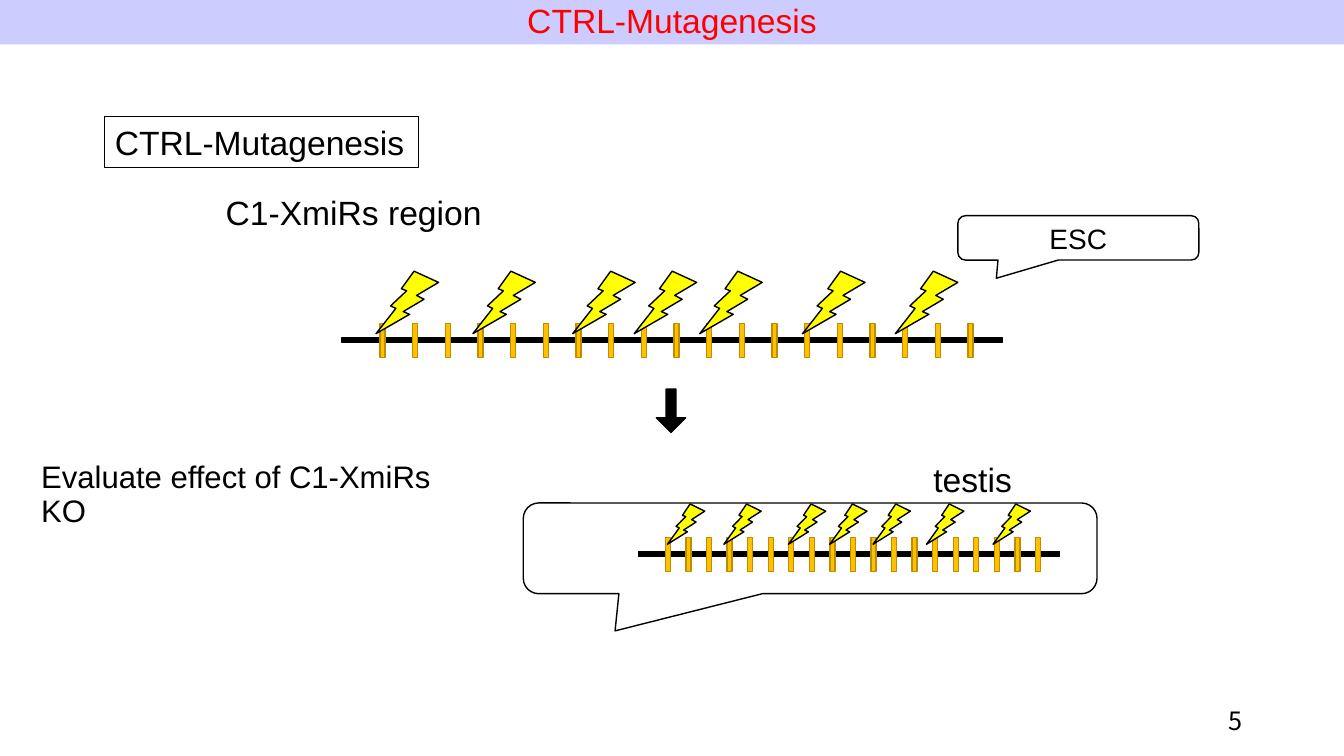
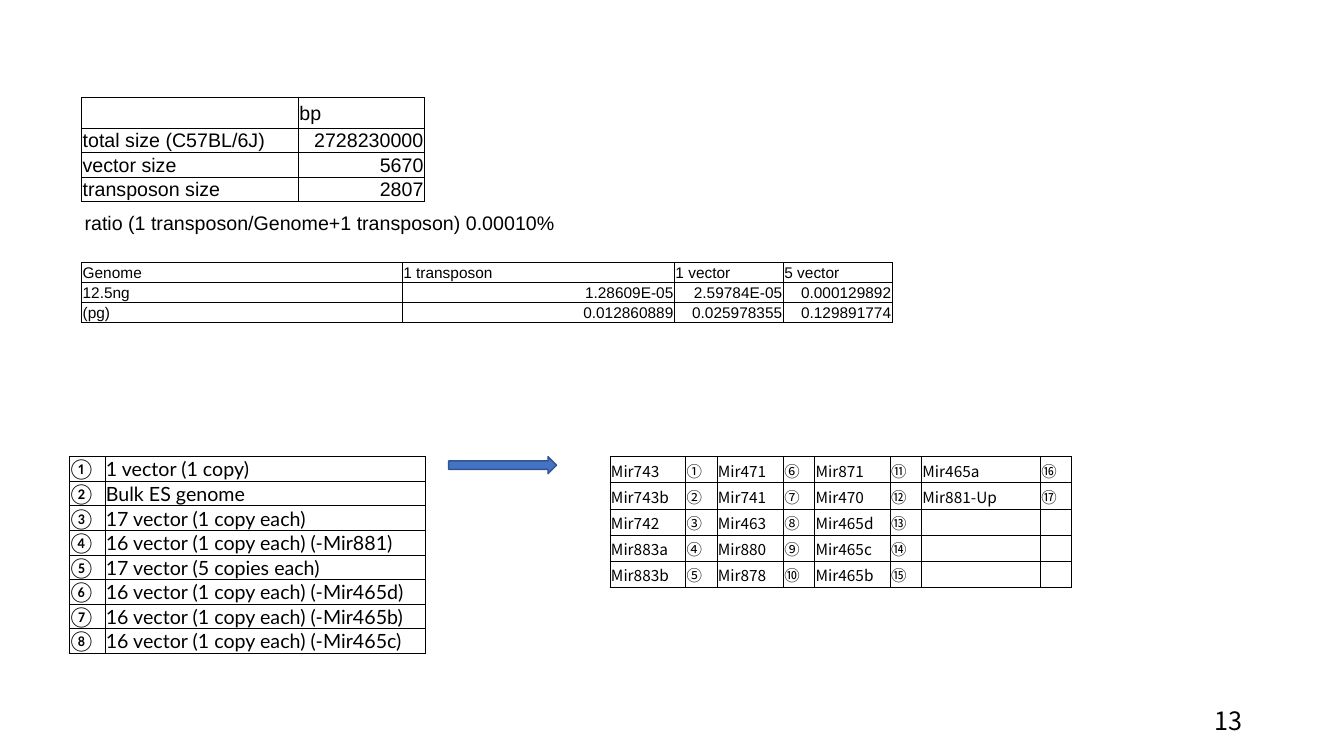
from lxml.etree import SubElement
from pptx import Presentation
from pptx.dml.color import RGBColor
from pptx.enum.shapes import MSO_SHAPE as Shape
from pptx.enum.text import MSO_ANCHOR as Anchor, PP_ALIGN as Align
from pptx.oxml.ns import qn
from pptx.util import Inches, Pt

BLACK, WHITE, RED = "000000", "FFFFFF", "FF0000"
BAND = "CCCCFF"
TICK_FILL, TICK_LINE = "FFC000", "BD8E00"
BOLT_FILL = "FFFF00"
ARROW_FILL, ARROW_LINE = "4472C4", "325491"
SANS, CJK, LATO = "Arial", "Noto Sans CJK JP", "Lato"
TITLE_ONLY, BLANK = 5, 6


def color(value):
    return RGBColor.from_string(value)


def inches(*values):
    return [Inches(value) for value in values]


class SlideBuilder:
    """Holds the deck, its style and the slide being filled."""

    def __init__(self):
        self.deck = Presentation()
        self.deck.slide_width, self.deck.slide_height = inches(13.33, 7.5)
        self.slide = None

    def new_slide(self, number, title=None):
        layout = self.deck.slide_layouts[TITLE_ONLY if title else BLANK]
        self.slide = self.deck.slides.add_slide(layout)
        self.slide.background.fill.solid()
        self.slide.background.fill.fore_color.rgb = color(WHITE)
        if title:
            self.title(title)
        self.text(9.42, 6.95, 3, 0.4, str(number), 18, font=CJK,
                  align=Align.RIGHT, anchor=Anchor.MIDDLE)

    def add_span(self, para, text, size, font=SANS, ink=BLACK,
                 align=Align.LEFT):
        para.alignment = align
        if not text:
            SubElement(para._p, qn("a:endParaRPr"), sz=str(size * 100))
            return
        span = para.add_run()
        span.text = text
        span.font.size = Pt(size)
        span.font.name = font
        span.font.bold = False
        span.font.color.rgb = color(ink)
        SubElement(span.font._element, qn("a:ea"), typeface=font)

    def title(self, text):
        box = self.slide.shapes.title
        box.left, box.top, box.width, box.height = inches(0, 0, 13.33, 0.44)
        box.fill.solid()
        box.fill.fore_color.rgb = color(BAND)
        frame = box.text_frame
        frame.vertical_anchor = Anchor.BOTTOM
        para = frame.paragraphs[0]
        para.line_spacing = 0.7
        self.add_span(para, text, 24, ink=RED, align=Align.CENTER)

    def text(self, left, top, width, height, text, size, font=SANS,
             align=Align.LEFT, anchor=Anchor.TOP, body=False):
        box = self.slide.shapes.add_textbox(*inches(left, top, width, height))
        frame = box.text_frame
        frame.word_wrap = True
        frame.vertical_anchor = anchor
        para = frame.paragraphs[0]
        if body:
            para.line_spacing = 0.9
            para.space_before = Pt(10)
        self.add_span(para, text, size, font, align=align)

    def shape(self, kind, left, top, width, height, fill=None, line=BLACK,
              weight=1, adjust=(), mirrored=False):
        shape = self.slide.shapes.add_shape(
            kind, *inches(left, top, width, height))
        shape.shadow.inherit = False
        for index, value in enumerate(adjust):
            shape.adjustments[index] = value
        if fill:
            shape.fill.solid()
            shape.fill.fore_color.rgb = color(fill)
        else:
            shape.fill.background()
        shape.line.color.rgb = color(line)
        shape.line.width = Pt(weight)
        if mirrored:
            shape.element.spPr.xfrm.set("flipH", "1")
        return shape

    def label(self, shape, text, size, align=Align.LEFT, wrap=True):
        frame = shape.text_frame
        frame.word_wrap = wrap
        frame.vertical_anchor = Anchor.MIDDLE
        self.add_span(frame.paragraphs[0], text, size, align=align)

    def callout(self, left, top, width, height):
        return self.shape(Shape.ROUNDED_RECTANGULAR_CALLOUT, left, top, width,
                          height, adjust=(-0.34, 0.91, 0.17))

    def gene_region(self, axis, ticks, bolts, bolt_size):
        """Axis bar, evenly spaced gene ticks, and bolts at the cut sites."""
        axis_left, axis_top, axis_width = axis
        first, last, count = ticks
        bolt_top, bolt_lefts = bolts
        self.shape(Shape.RECTANGLE, axis_left, axis_top, axis_width, 0.05,
                   BLACK)
        step = (last - first) / (count - 1)
        for index in range(count):
            self.shape(Shape.RECTANGLE, first + index * step, axis_top - 0.14,
                       0.05, 0.34, TICK_FILL, TICK_LINE)
        for left in bolt_lefts:
            self.shape(Shape.LIGHTNING_BOLT, left, bolt_top, *bolt_size,
                       BOLT_FILL, mirrored=True)

    def table(self, left, top, columns, heights, rows, size, font=SANS,
              numeric=False):
        frame = self.slide.shapes.add_table(
            len(rows), len(columns),
            *inches(left, top, sum(columns), sum(heights)))
        table = frame.table
        table.first_row = table.horz_banding = False
        for column, width in zip(table.columns, columns):
            column.width = Inches(width)
        for row, height in zip(table.rows, heights):
            row.height = Inches(height)
        for r, values in enumerate(rows):
            for c, value in enumerate(values):
                cell = table.cell(r, c)
                self.format_cell(cell)
                align = Align.RIGHT if numeric and r and c else Align.LEFT
                self.add_span(cell.text_frame.paragraphs[0], value, size,
                              font, align=align)

    def format_cell(self, cell):
        cell.margin_left = cell.margin_right = cell.margin_top = Inches(0.01)
        cell.margin_bottom = 0
        cell.vertical_anchor = Anchor.MIDDLE
        properties = cell._tc.get_or_add_tcPr()
        for side in ("lnL", "lnR", "lnT", "lnB"):
            border = SubElement(properties, qn("a:" + side), w=str(Pt(0.5)))
            fill = SubElement(border, qn("a:solidFill"))
            SubElement(fill, qn("a:srgbClr"), val=BLACK)
        cell.fill.background()


def mutagenesis_slide(page):
    page.new_slide(5, "CTRL-Mutagenesis")

    # Targeted region in the stem cells
    heading = page.shape(Shape.RECTANGLE, 1.04, 1.16, 3.11, 0.5, weight=0.75)
    page.label(heading, "CTRL-Mutagenesis", 24, wrap=False)
    page.text(2.14, 1.9, 3.27, 0.62, "C1-XmiRs region", 24, body=True)
    page.gene_region((3.39, 3.35, 6.55), (3.77, 9.6, 19),
                     (2.69, (3.73, 4.69, 5.68, 6.29, 6.94, 7.96, 8.88)),
                     (0.62, 0.62))
    page.label(page.callout(9.5, 2.14, 2.39, 0.44), "ESC", 20, Align.CENTER)

    # Step down to the evaluation
    page.shape(Shape.DOWN_ARROW, 6.51, 3.86, 0.29, 0.43, BLACK,
               adjust=(0.34, 0.5))
    page.text(0.31, 4.53, 4.58, 0.62, "Evaluate effect of C1-XmiRs KO", 22.2,
              body=True)

    # Same region in the testis
    page.text(9.16, 4.55, 1, 0.62, "testis", 24, body=True)
    page.callout(5.19, 4.99, 5.69, 0.9)
    page.gene_region((6.33, 5.47, 4.18), (6.6, 10.27, 19),
                     (5, (6.62, 7.18, 7.82, 8.23, 8.66, 9.19, 9.85)),
                     (0.37, 0.4))


def copy_number_slide(page):
    page.new_slide(13)

    # Sizes and ratio
    page.table(0.81, 0.97, (2.15, 1.25), (0.3, 0.23, 0.23, 0.23), (
        ("", "bp"),
        ("total size (C57BL/6J)", "2728230000"),
        ("vector size", "5670"),
        ("transposon size", "2807"),
    ), 14, numeric=True)
    page.text(0.74, 2.04, 6.75, 0.34,
              "ratio (1 transposon/Genome+1 transposon) 0.00010%", 14)

    # Amounts per genome
    page.table(0.81, 2.6, (3.18, 2.7, 1.08, 1.08), (0.2,) * 3, (
        ("Genome", "1 transposon", "1 vector", "5 vector"),
        ("12.5ng", "1.28609E-05", "2.59784E-05", "0.000129892"),
        ("(pg)", "0.012860889", "0.025978355", "0.129891774"),
    ), 11, numeric=True)

    # Numbered samples
    circled = "①②③④⑤⑥⑦⑧⑨⑩⑪⑫⑬⑭⑮⑯⑰"
    samples = (
        "1 vector (1 copy)",
        "Bulk ES genome",
        "17 vector (1 copy each)",
        "16 vector (1 copy each) (-Mir881)",
        "17 vector (5 copies each)",
        "16 vector (1 copy each) (-Mir465d)",
        "16 vector (1 copy each) (-Mir465b)",
        "16 vector (1 copy each) (-Mir465c)",
    )
    page.table(0.69, 4.53, (0.35, 3.18), (0.24,) * len(samples),
               list(zip(circled, samples)), 14, LATO)
    page.shape(Shape.RIGHT_ARROW, 4.45, 4.53, 1.07, 0.17, ARROW_FILL,
               ARROW_LINE)

    # Numbered genes, running down each pair of columns
    genes = ("Mir743 Mir743b Mir742 Mir883a Mir883b "
             "Mir471 Mir741 Mir463 Mir880 Mir878 "
             "Mir871 Mir470 Mir465d Mir465c Mir465b "
             "Mir465a Mir881-Up").split()
    depth = 5
    pairs = list(zip(genes, circled)) + [("", "")] * 3
    rows = [[text for pair in pairs[start::depth] for text in pair]
            for start in range(depth)]
    page.table(6.05, 4.53, (0.75, 0.31, 0.66, 0.31, 0.75, 0.31, 1.18, 0.31),
               (0.26,) * depth, rows, 11, CJK)


def main():
    page = SlideBuilder()
    mutagenesis_slide(page)
    copy_number_slide(page)
    page.deck.save("out.pptx")


if __name__ == "__main__":
    main()
